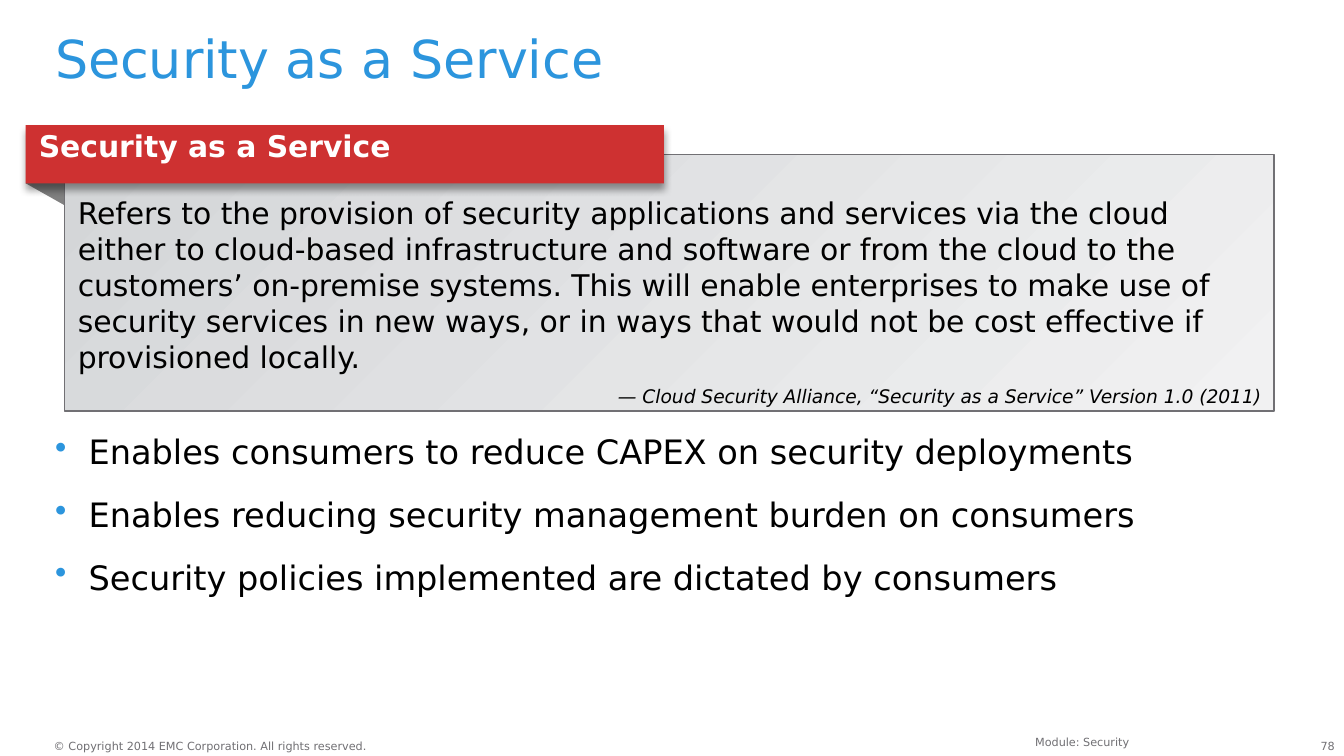
from lxml import etree
from pptx import Presentation
from pptx.dml.color import RGBColor
from pptx.enum import shapes, text
from pptx.oxml import ns
from pptx.util import Pt

FONT = "DejaVu Sans"
COLORS = {
    "blue": "2C95DD", "black": "000000", "white": "FFFFFF", "footer": "717074",
    "red": "CE3131", "fold": "808080", "panel_dark": "D4D6D8", "panel_light": "F1F1F2",
}
DEFINITION = (
    "Refers to the provision of security applications and services via the cloud "
    "either to cloud-based infrastructure and software or from the cloud to the "
    "customers’ on-premise systems. This will enable enterprises to make use of "
    "security services in new ways, or in ways that would not be cost effective if "
    "provisioned locally."
)
CITATION = "— Cloud Security Alliance, “Security as a Service” Version 1.0 (2011)"
BENEFITS = [
    "Enables consumers to reduce CAPEX on security deployments",
    "Enables reducing security management burden on consumers",
    "Security policies implemented are dictated by consumers",
]


def rgb(name):
    return RGBColor.from_string(COLORS[name])


def add_child(parent, tag, **attributes):
    return etree.SubElement(parent, ns.qn(tag), attributes)


def set_frame(shape, margins=(0, 0, 0, 0), wrap=True):
    """Set margins (left, top, right, bottom) and return the top-anchored frame."""
    frame = shape.text_frame
    frame.margin_left, frame.margin_top, frame.margin_right, frame.margin_bottom = map(Pt, margins)
    frame.word_wrap = wrap
    frame.vertical_anchor = text.MSO_ANCHOR.TOP
    return frame


def write(paragraph, words, size, color, bold=False, italic=False, align=text.PP_ALIGN.LEFT):
    paragraph.alignment = align
    run = paragraph.add_run()
    run.text = words
    run.font.name, run.font.size = FONT, Pt(size)
    run.font.bold, run.font.italic = bold, italic
    run.font.color.rgb = rgb(color)


def add_text_box(slide, box, **frame_options):
    return set_frame(slide.shapes.add_textbox(*map(Pt, box)), **frame_options)


def add_rectangle(slide, box):
    rectangle = slide.shapes.add_shape(shapes.MSO_SHAPE.RECTANGLE, *map(Pt, box))
    rectangle.shadow.inherit = False
    return rectangle


def add_title(slide, box):
    paragraph = add_text_box(slide, box).paragraphs[0]
    paragraph.line_spacing = 0.9
    write(paragraph, "Security as a Service", 28, "blue")


def add_fold(slide, box):
    """Draw the dark corner where the banner wraps behind the panel."""
    left, top, width, height = box
    builder = slide.shapes.build_freeform(Pt(left), Pt(top))
    builder.add_line_segments(
        [(Pt(left + width), Pt(top)), (Pt(left + width), Pt(top + height))], close=True)
    fold = builder.convert_to_shape()
    fold.shadow.inherit = False
    fold.fill.solid()
    fold.fill.fore_color.rgb = rgb("fold")
    fold.line.fill.background()


def add_panel(slide, box):
    panel = add_rectangle(slide, box)
    panel.fill.gradient()
    panel.fill.gradient_angle = 315
    for stop, color in zip(panel.fill.gradient_stops, ("panel_dark", "panel_light")):
        stop.color.rgb = rgb(color)
    panel.line.color.rgb = rgb("footer")
    panel.line.width = Pt(1)
    frame = set_frame(panel, margins=(7.2, 21.6, 7.2, 3.6))
    write(frame.paragraphs[0], DEFINITION, 16, "black")
    citation = frame.add_paragraph()
    citation.line_spacing = 1.5
    write(citation, CITATION, 10, "black", italic=True, align=text.PP_ALIGN.RIGHT)


def add_banner(slide, box):
    banner = add_rectangle(slide, box)
    banner.fill.solid()
    banner.fill.fore_color.rgb = rgb("red")
    banner.line.fill.background()
    effects = banner._element.spPr.find(ns.qn("a:effectLst"))
    shadow = add_child(effects, "a:outerShdw", blurRad=str(Pt(4)), dist=str(Pt(3)),
                       dir="5400000", algn="t", rotWithShape="0")
    shade = add_child(shadow, "a:srgbClr", val=COLORS["black"])
    add_child(shade, "a:alpha", val="40000")
    paragraph = set_frame(banner, margins=(7.2, 3.6, 7.2, 3.6)).paragraphs[0]
    paragraph.line_spacing = 0.9
    write(paragraph, "Security as a Service", 16, "white", bold=True)


def add_definition(slide, box):
    """Place the panel in the box, with the banner overlapping its top left."""
    left, top, _, _ = box
    overhang, banner_height = 20.9, 31.2
    banner_left, banner_top = left - overhang, top - 15.8
    add_fold(slide, (banner_left, banner_top + banner_height, overhang, 11.8))
    add_panel(slide, box)
    add_banner(slide, (banner_left, banner_top, 342, banner_height))


def add_benefits(slide, box):
    frame = add_text_box(slide, box)
    for index, benefit in enumerate(BENEFITS):
        paragraph = frame.add_paragraph() if index else frame.paragraphs[0]
        if index:
            paragraph.space_before = Pt(12)
        properties = paragraph._p.get_or_add_pPr()
        properties.set("marL", str(Pt(18)))
        properties.set("indent", str(Pt(-18)))
        bullet_color = add_child(properties, "a:buClr")
        add_child(bullet_color, "a:srgbClr", val=COLORS["blue"])
        add_child(properties, "a:buChar", char="•")
        write(paragraph, benefit, 18, "black")


def add_footer(slide, box):
    left, top, width, height = box
    copyright_line = add_text_box(slide, (left, top, 170.6, height), wrap=False)
    write(copyright_line.paragraphs[0],
          "© Copyright 2014 EMC Corporation. All rights reserved.", 6, "footer")
    module = add_text_box(slide, (203.8, top - 5.8, 408.2, 10.8), margins=(7.2, 3.6, 7.2, 3.6))
    write(module.paragraphs[0], "Module: Security", 6, "footer", align=text.PP_ALIGN.RIGHT)
    number = add_text_box(slide, (left + width - 22.3, top, 22.3, height))
    write(number.paragraphs[0], "78", 6, "footer", align=text.PP_ALIGN.RIGHT)


def main():
    deck = Presentation()
    deck.slide_width, deck.slide_height = Pt(720), Pt(405)
    slide = deck.slides.add_slide(deck.slide_layouts[6])
    add_title(slide, (29.5, 18, 666, 36))
    add_definition(slide, (34.6, 82.8, 648, 137.5))
    add_benefits(slide, (29.5, 231.1, 604.8, 121.7))
    add_footer(slide, (28.8, 396, 686.2, 7.2))
    deck.save("out.pptx")


if __name__ == "__main__":
    main()
